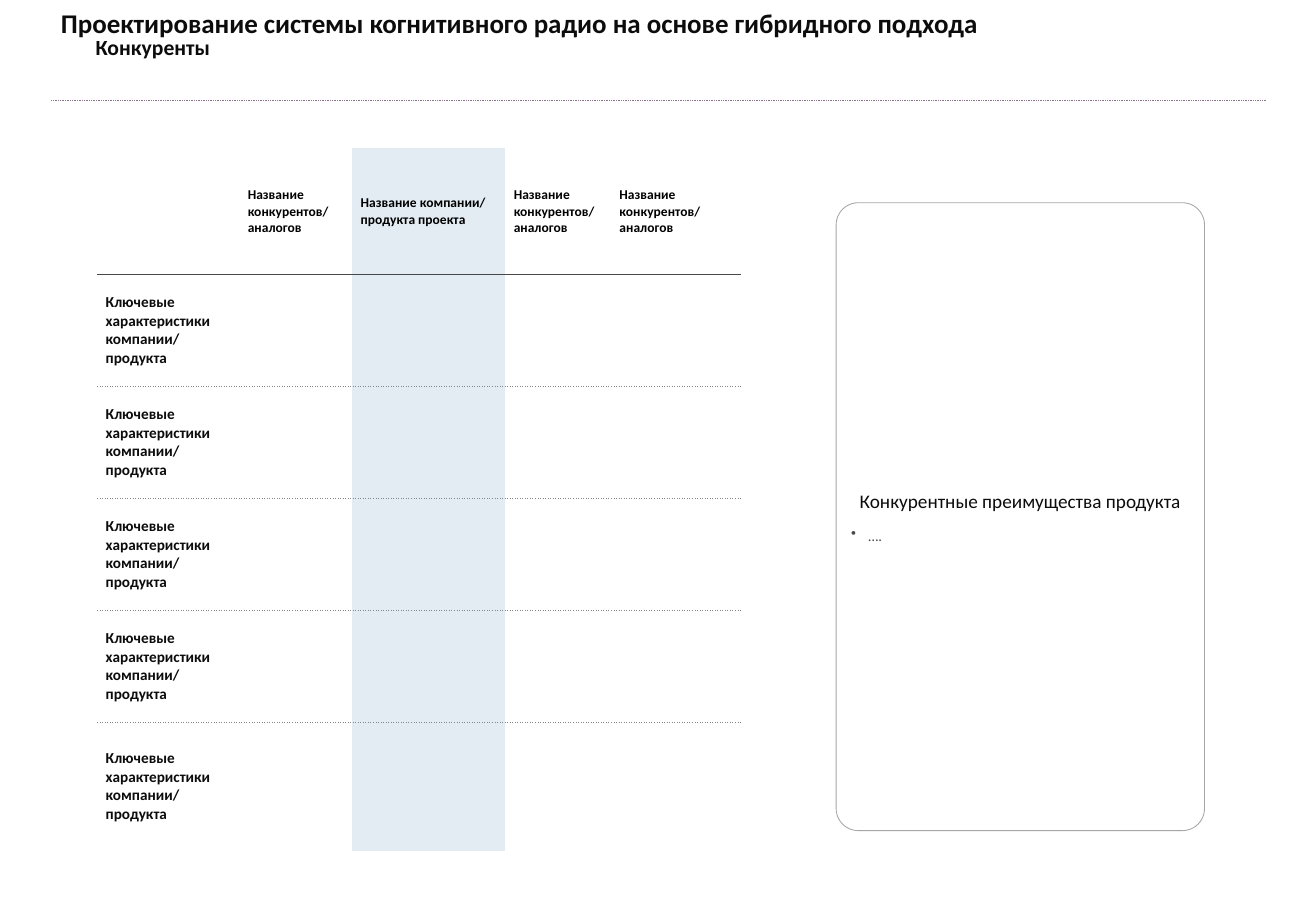
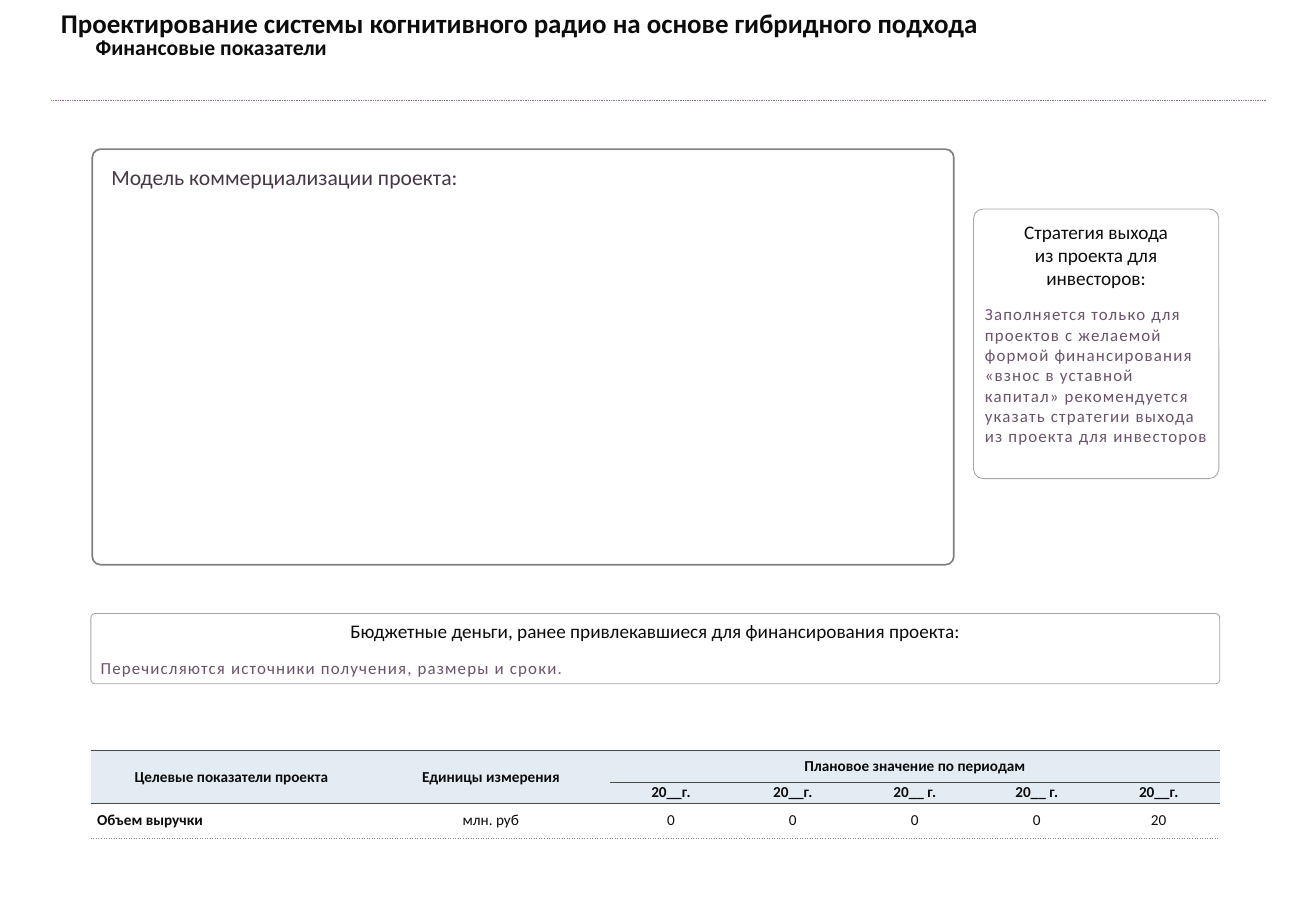
"""Builds the competitor and financial slides of a cognitive radio project."""
from copy import deepcopy

from lxml.etree import SubElement
from pptx import Presentation
from pptx.dml.color import RGBColor
from pptx.enum.dml import MSO_LINE_DASH_STYLE as Dash
from pptx.enum.shapes import MSO_CONNECTOR as Connector, MSO_SHAPE as Shape
from pptx.enum.text import MSO_ANCHOR as Anchor, MSO_AUTO_SIZE as AutoSize, PP_ALIGN as Align
from pptx.oxml.ns import qn
from pptx.util import Cm, Pt

COLORS = {
    "white": "FFFFFF",
    "black": "000000",
    "ink": "0C0C0C",
    "band": "E3ECF3",
    "rule": "494949",
    "dots": "868686",
    "card": "A6A6A6",
    "frame": "808080",
    "divider": "8E708F",
    "label": "473848",
    "hint": "6B546B",
}
FONT = "Calibri"
PROJECT = "Проектирование системы когнитивного радио на основе гибридного подхода"
PLAIN_TABLE = "{2D5ABB26-0587-4C30-8999-92F81FD0307C}"
SOLID = ("rule", "solid")
DOTTED = ("dots", "dot")
FINE_DOTS = ("dots", "sysDot")
HEADING = dict(size=11.4, align=Align.CENTER, after=8.6)
HINT = dict(size=10, color="hint", after=4.3, spacing=0.7)


def rgb(name):
    return RGBColor.from_string(COLORS[name])


def write(frame, text, size, color="ink", bold=False, align=Align.LEFT,
          after=0, spacing=0, bullet=None):
    """Add a formatted paragraph, using the first one while it is empty."""
    paragraph = frame.paragraphs[-1]
    if paragraph.text:
        paragraph = frame.add_paragraph()
    paragraph.text = text
    paragraph.alignment = align
    paragraph.space_after = Pt(after)
    for run in paragraph.runs:
        run.font.name = FONT
        run.font.size = Pt(size)
        run.font.bold = bold
        run.font.color.rgb = rgb(color)
        if spacing:
            run.font._element.set("spc", str(round(spacing * 100)))
    for line_break in paragraph._p.findall(qn("a:br")):
        line_break.insert(0, deepcopy(paragraph.runs[0].font._element))
    if bullet:
        properties = paragraph._p.get_or_add_pPr()
        properties.set("marL", str(Cm(0.36)))
        properties.set("indent", str(Cm(-0.36)))
        SubElement(properties, qn("a:buChar")).set("char", bullet)


def add_border(cell, side, rule):
    """Draw one horizontal side of a table cell."""
    color, dash = rule
    border = SubElement(cell._tc.get_or_add_tcPr(), qn(f"a:{side}"), w=str(Pt(0.5)))
    fill = SubElement(border, qn("a:solidFill"))
    SubElement(fill, qn("a:srgbClr"), val=COLORS[color])
    SubElement(border, qn("a:prstDash"), val=dash)


class Deck:
    """Holds the shared style and the current slide."""

    def __init__(self):
        self.show = Presentation()
        self.show.slide_width, self.show.slide_height = Cm(27.51), Cm(19.05)
        self.slide = None

    def start(self, topic):
        """Open a slide with the project title, its topic and the divider."""
        self.slide = self.show.slides.add_slide(self.show.slide_layouts[5])
        title = self.slide.shapes.title
        title.left, title.top, title.width, title.height = Cm(1.02), Cm(0), Cm(20), Cm(1.6)
        title.text_frame.auto_size = AutoSize.NONE
        title.text_frame.vertical_anchor = Anchor.TOP
        write(title.text_frame, PROJECT, size=16, bold=True)
        self.text((1.75, 0.58, 8, 0.81), topic, size=12.8, bold=True)
        divider = self.slide.shapes.add_connector(
            Connector.STRAIGHT, Cm(1.07), Cm(2.11), Cm(26.47), Cm(2.11))
        divider.line.color.rgb = rgb("divider")
        divider.line.width = Pt(0.5)
        divider.line.dash_style = Dash.ROUND_DOT
        SubElement(divider._element.spPr, qn("a:effectLst"))

    def text(self, place, words, **style):
        frame = self.slide.shapes.add_textbox(*map(Cm, place)).text_frame
        frame.word_wrap = True
        write(frame, words, **style)

    def card(self, place, corner, line="card", width=0.5, fill="white", anchor=Anchor.MIDDLE):
        """Add a rounded card and return its text frame."""
        card = self.slide.shapes.add_shape(Shape.ROUNDED_RECTANGLE, *map(Cm, place))
        card.adjustments[0] = corner
        card.shadow.inherit = False
        card.line.color.rgb = rgb(line)
        card.line.width = Pt(width)
        if fill:
            card.fill.solid()
            card.fill.fore_color.rgb = rgb(fill)
        else:
            card.fill.background()
        frame = card.text_frame
        frame.word_wrap = True
        frame.vertical_anchor = anchor
        frame.margin_left = frame.margin_right = Cm(0.18)
        frame.margin_top = frame.margin_bottom = Cm(0.18 if anchor == Anchor.TOP else 0.1)
        return frame

    def table(self, corner, widths, heights, rows, rules, margins, look, merges=()):
        """Add a table; rules lists the lines above, between and below its rows."""
        table = self.slide.shapes.add_table(
            len(heights), len(widths), *map(Cm, (*corner, sum(widths), sum(heights)))).table
        table._tbl.tblPr[0].text = PLAIN_TABLE
        table.first_row = table.horz_banding = False
        for column, width in zip(table.columns, widths):
            column.width = Cm(width)
        for row, height in zip(table.rows, heights):
            row.height = Cm(height)
        for top, left, bottom, right in merges:
            table.cell(top, left).merge(table.cell(bottom, right))
        for r, words in enumerate(rows):
            for c, word in enumerate(words):
                cell = table.cell(r, c)
                cell.margin_left = cell.margin_right = Cm(margins[0])
                cell.margin_top = cell.margin_bottom = Cm(margins[1])
                if cell.is_spanned:
                    continue
                fill, style = look(r, c)
                cell.vertical_anchor = Anchor.MIDDLE
                if word:
                    write(cell.text_frame, word, **style)
                for side, rule in zip(("lnT", "lnB"), rules[r:r + 2]):
                    if rule:
                        add_border(cell, side, rule)
                if fill:
                    cell.fill.solid()
                    cell.fill.fore_color.rgb = rgb(fill)
                else:
                    cell.fill.background()


def competitor_look(row, column):
    style = dict(size=9, bold=True) if row else dict(size=8, color="black", bold=True)
    return "band" if column == 2 else "white", style


def target_look(row, column):
    header = row < 2
    align = Align.LEFT if not header and column == 0 else Align.CENTER
    return "band" if header else None, dict(size=9, bold=header or column == 0, align=align)


def add_competitors(deck):
    deck.start("Конкуренты")
    rival = "Название конкурентов/ аналогов"
    feature = "Ключевые характеристики компании/ продукта"
    header = ["", rival, "Название компании/ продукта проекта", rival, rival]
    deck.table(
        (2.03, 3.1), [2.97, 2.36, 3.2, 2.21, 2.72], [2.64] + [2.34] * 4 + [2.69],
        [header] + [[feature] + [""] * 4] * 5,
        [None, SOLID] + [DOTTED] * 4 + [None], (0.18, 0.08), competitor_look)
    advantages = deck.card((17.48, 4.24, 7.7, 13.13), 0.06)
    write(advantages, "Конкурентные преимущества продукта", **HEADING)
    write(advantages, "….", size=8.6, color="rule", after=4.3, bullet="•")


def add_finances(deck):
    deck.start("Финансовые показатели")
    deck.table(
        (1.9, 15.7), [5.87, 4.98] + [2.55] * 5, [0.66, 0.43, 0.74],
        [["Целевые показатели проекта", "Единицы измерения",
          "Плановое значение по периодам", "", "", "", ""],
         ["", "", "20__г.", "20__г.", "20__ г.", "20__ г.", "20__г."],
         ["Объем выручки", "млн. руб", "0", "0", "0", "0", "20"]],
        [SOLID, SOLID, SOLID, FINE_DOTS], (0.13, 0), target_look,
        merges=[(0, 0, 1, 0), (0, 1, 1, 1), (0, 2, 0, 6)])
    strategy = deck.card((20.35, 4.37, 5.13, 5.64), 0.04, anchor=Anchor.TOP)
    write(strategy, "Стратегия выхода\vиз проекта для инвесторов:", **HEADING)
    write(strategy, "Заполняется только для проектов с желаемой формой финансирования "
          "«взнос в уставной капитал» рекомендуется указать стратегии выхода "
          "из проекта для инвесторов", **HINT)
    budget = deck.card((1.9, 12.83, 23.6, 1.47), 0.06)
    write(budget, "Бюджетные деньги, ранее привлекавшиеся для финансирования проекта:", **HEADING)
    write(budget, "Перечисляются источники получения, размеры и сроки.", **HINT)
    deck.text((2.08, 3.3, 17.78, 0.81), "Модель коммерциализации проекта:",
              size=12.8, color="label")
    deck.card((1.93, 3.12, 18.01, 8.69), 0.02, line="frame", width=1, fill=None)


def main():
    deck = Deck()
    add_competitors(deck)
    add_finances(deck)
    deck.show.save("out.pptx")


if __name__ == "__main__":
    main()
